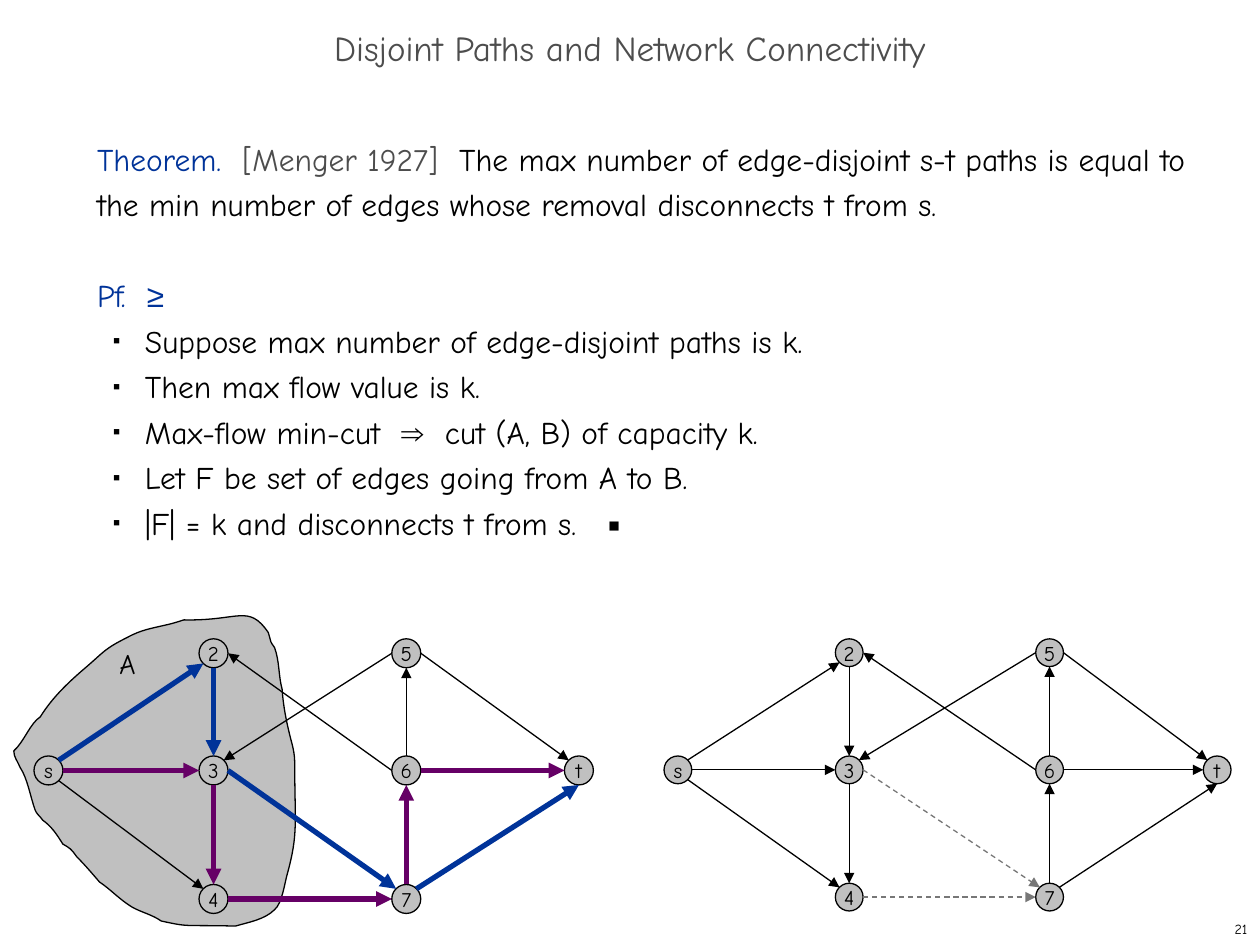
from lxml.etree import SubElement
from pptx import Presentation
from pptx.dml.color import RGBColor
from pptx.enum.dml import MSO_LINE
from pptx.enum.shapes import MSO_CONNECTOR, MSO_SHAPE
from pptx.enum.text import MSO_ANCHOR, MSO_AUTO_SIZE, PP_ALIGN
from pptx.oxml.ns import qn
from pptx.util import Inches, Pt

FONT = "Comic Neue"
BLACK, GREY, SILVER = "000000", "4D4D4D", "C0C0C0"
BLUE, PURPLE, FADED = "003399", "660066", "777777"

BULLETS = [
    [("Suppose max number of edge-disjoint paths is k.", FONT)],
    [("Then max flow value is k.", FONT)],
    [("Max-flow min-cut  ", FONT), ("⇒", "Arial"), ("  cut (A, B) of capacity k.", FONT)],
    [("Let F be set of edges going from A to B.", FONT)],
    [("|F| = k and disconnects t from s.   ▪", FONT)],
]

# Node label: (column, row)
NODES = {"s": (0, 1), "2": (1, 0), "3": (1, 1), "4": (1, 2),
         "5": (2, 0), "6": (2, 1), "7": (2, 2), "t": (3, 1)}
# Place on a node's rim, as a fraction of its width and height
RIM = {"top": (0.5, 0), "bottom": (0.5, 1), "left": (0, 0.5), "right": (1, 0.5),
       "nw": (0.15, 0.15), "ne": (0.85, 0.15), "sw": (0.15, 0.85), "se": (0.85, 0.85)}
# (start, end): (rim place at start, rim place at end)
EDGES = {
    "s2": ("ne", "sw"), "s3": ("right", "left"), "s4": ("se", "nw"),
    "23": ("bottom", "top"), "34": ("bottom", "top"),
    "37": ("right", "nw"), "47": ("right", "left"),
    "76": ("top", "bottom"), "65": ("top", "bottom"),
    "5t": ("right", "nw"), "6t": ("right", "left"), "7t": ("ne", "bottom"),
    "62": ("left", "right"), "53": ("left", "ne"),
}
FLOW_PATHS = {**dict.fromkeys(("s2", "23", "37", "7t"), (BLUE, 3, None)),
              **dict.fromkeys(("s3", "34", "47", "76", "6t"), (PURPLE, 3, None))}
REMOVED_EDGES = dict.fromkeys(("37", "47"), (FADED, 0.75, MSO_LINE.DASH))

# Start point, then two control points and an end point for each curve, in inches from the box
CUT_START = (0, 1.17)
CUT_CURVES = [
    ((0.08, 1.1), (0.13, 0.95), (0.21, 0.9)), ((0.31, 0.74), (0.44, 0.62), (0.58, 0.5)),
    ((0.72, 0.38), (0.72, 0.36), (0.9, 0.27)), ((1.01, 0.21), (1.08, 0.2), (1.21, 0.17)),
    ((1.26, 0.16), (1.35, 0.13), (1.35, 0.13)), ((1.79, 0.14), (1.86, 0), (2.02, 0.23)),
    ((2.05, 0.33), (2.03, 0.29), (2.07, 0.35)), ((2.11, 0.46), (2.1, 0.57), (2.13, 0.68)),
    ((2.14, 0.83), (2.17, 0.97), (2.21, 1.12)), ((2.22, 1.16), (2.23, 1.21), (2.23, 1.26)),
    ((2.23, 1.75), (2.26, 1.82), (2.17, 2.15)), ((2.15, 2.22), (2.13, 2.38), (2.07, 2.43)),
    ((1.99, 2.51), (1.86, 2.53), (1.76, 2.56)), ((1.33, 2.55), (1.4, 2.57), (1.17, 2.52)),
    ((1.1, 2.47), (1.01, 2.45), (0.94, 2.41)), ((0.84, 2.35), (0.77, 2.27), (0.68, 2.21)),
    ((0.62, 2.14), (0.56, 2.07), (0.5, 2.01)), ((0.49, 2), (0.48, 1.98), (0.47, 1.97)),
    ((0.45, 1.94), (0.39, 1.91), (0.39, 1.91)), ((0.34, 1.83), (0.3, 1.77), (0.23, 1.72)),
    ((0.21, 1.69), (0.18, 1.67), (0.17, 1.64)), ((0.13, 1.53), (0.11, 1.39), (0.05, 1.3)),
    ((0.03, 1.25), (0, 1.22), (0, 1.17)),
]


def rgb(hex_colour):
    return RGBColor.from_string(hex_colour)


def place(shape, left, top, width, height):
    shape.left, shape.top = Inches(left), Inches(top)
    shape.width, shape.height = Inches(width), Inches(height)


def add_run(paragraph, text, size, colour=BLACK, font=FONT):
    run = paragraph.add_run()
    run.text = text
    run.font.size, run.font.name = Pt(size), font
    run.font.color.rgb = rgb(colour)


def style_outline_shape(shape):
    shape.shadow.inherit = False
    shape.fill.solid()
    shape.fill.fore_color.rgb = rgb(SILVER)
    shape.line.color.rgb = rgb(BLACK)
    shape.line.width = Pt(0.75)


def add_label(slide, box, text, size, align=PP_ALIGN.LEFT, anchor=MSO_ANCHOR.TOP):
    label = slide.shapes.add_textbox(*map(Inches, box)).text_frame
    label.word_wrap = False
    label.vertical_anchor = anchor
    label.paragraphs[0].alignment = align
    add_run(label.paragraphs[0], text, size)


def add_title(slide, box, text):
    title = slide.shapes.title
    place(title, *box)
    title.text_frame.auto_size = MSO_AUTO_SIZE.NONE
    title.text_frame.vertical_anchor = MSO_ANCHOR.MIDDLE
    heading = title.text_frame.paragraphs[0]
    heading.alignment = PP_ALIGN.CENTER
    heading.line_spacing = 0.7
    add_run(heading, text, 20, GREY)


def format_body_line(paragraph, bulleted=False, space_before=0):
    properties = paragraph._p.get_or_add_pPr()
    properties.set("marL", str(Inches(0.38 if bulleted else 0)))
    properties.set("indent", str(Inches(-0.25 if bulleted else 0)))
    if bulleted:
        paragraph.level = 1
        SubElement(SubElement(properties, qn("a:buClr")), qn("a:srgbClr"), val=BLACK)
        SubElement(properties, qn("a:buSzPct"), val="35000")
        SubElement(properties, qn("a:buFont"), typeface="Arial")
        SubElement(properties, qn("a:buChar"), char="■")
    else:
        SubElement(properties, qn("a:buNone"))
    paragraph.line_spacing = Pt(26)
    paragraph.space_before = Pt(space_before)


def add_proof(slide, box):
    body = slide.placeholders[1]
    place(body, *box)
    frame = body.text_frame
    frame.auto_size = MSO_AUTO_SIZE.NONE

    theorem = frame.paragraphs[0]
    format_body_line(theorem)
    add_run(theorem, "Theorem.  ", 18, BLUE)
    add_run(theorem, "[Menger 1927]  ", 18, GREY)
    add_run(theorem, "The max number of edge-disjoint s-t paths is equal to "
                     "the min number of edges whose removal disconnects t from s.", 18)

    proof = frame.add_paragraph()
    format_body_line(proof, space_before=26)
    add_run(proof, "Pf.  ", 18, BLUE)
    add_run(proof, "≥", 18, BLUE, "Arial")

    for pieces in BULLETS:
        step = frame.add_paragraph()
        format_body_line(step, bulleted=True)
        for text, font in pieces:
            add_run(step, text, 18, font=font)


def add_cut(slide, left, top):
    """Draw the curved region that holds the nodes of side A."""
    def at(point):
        return Inches(left + point[0]), Inches(top + point[1])

    builder = slide.shapes.build_freeform(*at(CUT_START))
    builder.add_line_segments([at(point) for curve in CUT_CURVES for point in curve])
    cut = builder.convert_to_shape()
    style_outline_shape(cut)
    outline = cut._element.find(".//" + qn("a:path"))
    segments = outline.findall(qn("a:lnTo"))
    close = outline.find(qn("a:close"))
    for start in range(0, 3 * len(CUT_CURVES), 3):
        curve = SubElement(outline, qn("a:cubicBezTo"))
        for segment in segments[start:start + 3]:
            curve.append(segment[0])
            outline.remove(segment)
    if close is not None:
        outline.append(close)


def add_node(slide, left, top, size, text):
    node = slide.shapes.add_shape(MSO_SHAPE.OVAL, *map(Inches, (left, top, size, size)))
    style_outline_shape(node)
    node.text_frame.word_wrap = False
    node.text_frame.vertical_anchor = MSO_ANCHOR.MIDDLE
    node.text_frame.paragraphs[0].alignment = PP_ALIGN.CENTER
    add_run(node.text_frame.paragraphs[0], text, 12)


def add_edge(slide, start, end, colour, width, dash):
    edge = slide.shapes.add_connector(MSO_CONNECTOR.STRAIGHT, *map(Inches, start + end))
    edge.line.color.rgb = rgb(colour)
    edge.line.width = Pt(width)
    if dash:
        edge.line.dash_style = dash
    SubElement(edge.line._get_or_add_ln(), qn("a:tailEnd"), type="triangle")
    SubElement(edge._element.spPr, qn("a:effectLst"))


def add_network(slide, left, top, columns, rows, size, edge_styles):
    corners = {name: (left + columns[column], top + rows[row])
               for name, (column, row) in NODES.items()}

    def rim_point(name, side):
        return tuple(corner + size * part for corner, part in zip(corners[name], RIM[side]))

    for name, corner in corners.items():
        add_node(slide, *corner, size, name)
    for (start, end), (start_side, end_side) in EDGES.items():
        style = edge_styles.get(start + end, (BLACK, 0.75, None))
        add_edge(slide, rim_point(start, start_side), rim_point(end, end_side), *style)


def main():
    deck = Presentation()
    deck.slide_width, deck.slide_height = Inches(10), Inches(7.5)
    slide = deck.slides.add_slide(deck.slide_layouts[1])
    add_title(slide, (0, 0.17, 10, 0.5), "Disjoint Paths and Network Connectivity")
    add_proof(slide, (0.67, 1, 8.92, 5.92))
    add_cut(slide, 0.11, 4.79)
    add_network(slide, 0.27, 5.07, (0, 1.31, 2.84, 4.21), (0, 0.93, 1.95), 0.23, FLOW_PATHS)
    add_network(slide, 5.27, 5.07, (0, 1.36, 2.95, 4.28), (0, 0.93, 1.94), 0.22, REMOVED_EDGES)
    add_label(slide, (0.85, 5.08, 0.33, 0.37), "A", 16)
    add_label(slide, (7.92, 7.25, 2.08, 0.25), "21", 8, PP_ALIGN.RIGHT, MSO_ANCHOR.MIDDLE)
    deck.save("out.pptx")


if __name__ == "__main__":
    main()
